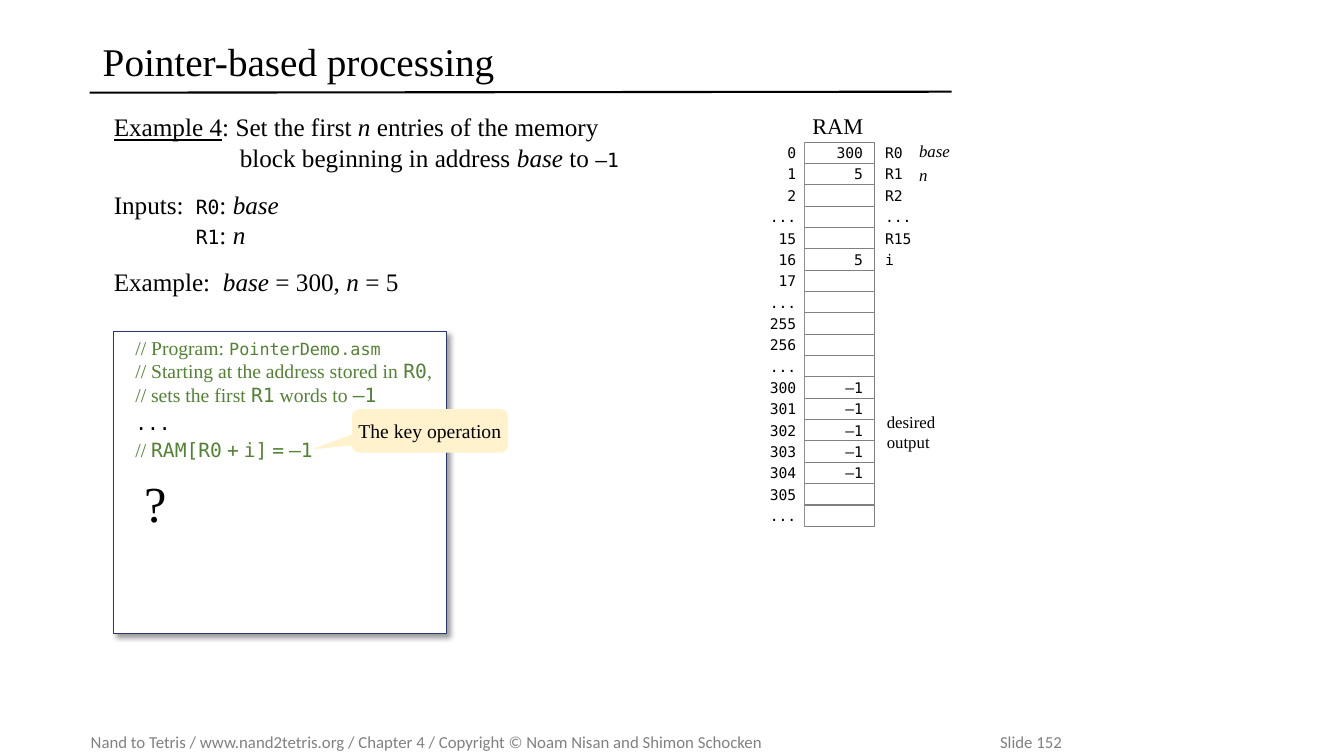
from dataclasses import dataclass
from typing import Any, Optional

import pptx
import pptx.dml.color
import pptx.enum.shapes
import pptx.enum.text
import pptx.oxml
import pptx.oxml.ns
import pptx.util
from lxml import etree

Pt = pptx.util.Pt
Shape = pptx.enum.shapes.MSO_SHAPE
Align = pptx.enum.text.PP_ALIGN
Anchor = pptx.enum.text.MSO_ANCHOR
qn = pptx.oxml.ns.qn

COLOURS = {
    "ink": "000000", "paper": "FFFFFF", "footer": "808080", "cell": "808080",
    "frame": "293973", "comment": "548235", "callout": "FFF2CC",
}
SERIF, MONO, SANS = "Times New Roman", "DejaVu Sans Mono", "Calibri"


@dataclass(frozen=True)
class Span:
    text: str
    size: float = 18
    font: str = SERIF
    colour: str = "ink"
    italic: bool = False
    underline: bool = False


@dataclass(frozen=True)
class Para:
    spans: tuple[Span, ...]
    before: float = 0
    align: Any = Align.LEFT
    tab: Optional[float] = None


@dataclass(frozen=True)
class Box:
    left: float
    top: float
    width: float
    height: float
    paras: tuple[Para, ...] = ()
    kind: Any = None
    fill: Optional[str] = None
    line: Optional[str] = None
    anchor: Any = Anchor.TOP
    insets: tuple[float, float, float, float] = (7.2, 3.6, 7.2, 3.6)


def rgb(name: str) -> pptx.dml.color.RGBColor:
    return pptx.dml.color.RGBColor.from_string(COLOURS[name])


def style_run(run: Any, span: Span) -> None:
    run.font.name = span.font
    run.font.size = Pt(span.size)
    run.font.color.rgb = rgb(span.colour)
    run.font.italic = span.italic
    run.font.underline = span.underline


def write_para(paragraph: Any, para: Para) -> None:
    paragraph.text = "".join(span.text for span in para.spans[:1])
    for span in para.spans[1:]:
        if span.text == "\v":
            paragraph.add_line_break()
        else:
            paragraph.add_run().text = span.text
    written = [span for span in para.spans if span.text != "\v"]
    for run, span in zip(paragraph.runs, written):
        style_run(run, span)
    paragraph.alignment = para.align
    paragraph.space_before = Pt(para.before)
    if para.tab is not None:
        stops = etree.SubElement(paragraph._p.get_or_add_pPr(), qn("a:tabLst"))
        etree.SubElement(stops, qn("a:tab"), pos=str(Pt(para.tab)), algn="l")


def draw_box(shapes: Any, box: Box) -> Any:
    place = [Pt(value) for value in (box.left, box.top, box.width, box.height)]
    if box.kind is None:
        shape = shapes.add_textbox(*place)
    else:
        shape = shapes.add_shape(box.kind, *place)
        shape.shadow.inherit = False
        shape.fill.solid()
        shape.fill.fore_color.rgb = rgb(box.fill)
        if box.line:
            shape.line.color.rgb = rgb(box.line)
            shape.line.width = Pt(0.75)
        else:
            shape.line.fill.background()
    frame = shape.text_frame
    frame.word_wrap = True
    frame.vertical_anchor = box.anchor
    (frame.margin_left, frame.margin_top,
     frame.margin_right, frame.margin_bottom) = map(Pt, box.insets)
    for index, para in enumerate(box.paras):
        write_para(frame.add_paragraph() if index else frame.paragraphs[0], para)
    return shape


def add_shadow(shape: Any) -> None:
    effects = shape._element.spPr.find(qn("a:effectLst"))
    shadow = etree.SubElement(effects, qn("a:outerShdw"), blurRad=str(Pt(4)),
                              dist=str(Pt(3)), dir="2700000", algn="tl", rotWithShape="0")
    colour = etree.SubElement(shadow, qn("a:srgbClr"), val=COLOURS["ink"])
    etree.SubElement(colour, qn("a:alpha"), val="40000")


def draw_title(page: Any) -> None:
    title = page.shapes.title
    title.left, title.top, title.width, title.height = map(Pt, (66.2, 23, 614.2, 45.4))
    title.text_frame.text = "Pointer-based processing"
    title.text_frame.auto_size = pptx.enum.text.MSO_AUTO_SIZE.NONE
    title.text_frame.vertical_anchor = Anchor.MIDDLE
    paragraph = title.text_frame.paragraphs[0]
    paragraph.alignment = Align.LEFT
    paragraph.line_spacing = 0.9
    style_run(paragraph.runs[0], Span("", 28))
    rule = page.shapes.add_connector(pptx.enum.shapes.MSO_CONNECTOR.STRAIGHT,
                                     Pt(64.1), Pt(66.2), Pt(679.7), Pt(65.5))
    rule.line.color.rgb = rgb("ink")
    rule.line.width = Pt(1.5)
    etree.SubElement(rule._element.spPr, qn("a:effectLst"))


def draw_memory(page: Any) -> None:
    addresses = "0 1 2 ... 15 16 17 ... 255 256 ... 300 301 302 303 304 305 ...".split()
    values = {0: "300", 1: "5", 5: "5", **{row: "–1" for row in range(11, 16)}}
    names = dict(enumerate(("R0", "R1", "R2", "...", "R15", "i")))
    top, pitch = 101.5, 15.25
    memory = page.shapes.add_group_shape().shapes

    def draw_cell(row: int, left: float, width: float, text: str, align: Any,
                  insets: tuple[float, float, float, float],
                  line: Optional[str] = None) -> None:
        paras = (Para((Span(text, 10.5, MONO),), align=align),) if text else ()
        draw_box(memory, Box(left, top + row * pitch, width, pitch, paras, Shape.RECTANGLE,
                             "paper", line, Anchor.MIDDLE, insets))

    for row, address in enumerate(addresses):
        draw_cell(row, 574.6, 50.4, values.get(row, ""), Align.RIGHT, (8.6, 0, 8.6, 0), "cell")
        draw_cell(row, 537.1, 37.4, address, Align.RIGHT, (8.6, 0, 5.8, 0))
        if row in names:
            draw_cell(row, 626.4, 37.4, names[row], Align.LEFT, (5.8, 0, 8.6, 0))
    draw_box(memory, Box(573.1, 76.3, 51.8, 30.2, (Para((Span("RAM", 16),)),)))


def green(text: str, font: str = SERIF, size: float = 14) -> Span:
    return Span(text, size, font, "comment")


def green_code(text: str) -> tuple[Span, ...]:
    first, *others = text.split()
    spans = [green(first, MONO)]
    for word in others:
        spans += [green(" "), green(word, MONO)]
    return tuple(spans)


def italic(text: str) -> Span:
    return Span(text, italic=True)


def code(text: str) -> Span:
    return Span(text, 14, MONO)


TASK = Box(74.2, 76.3, 398.9, 162, (
    Para((Span("Example 4", underline=True), Span(": Set the first "), italic("n"),
          Span(" entries of the memory"), Span("\v"),
          Span("\tblock beginning in address "), italic("base"), Span(" to "), code("–1")),
         tab=90),
    Para((Span("Inputs:\t"), code("R0"), Span(": "), italic("base"), Span("\v"),
          Span("\t"), code("R1"), Span(": "), italic("n")), 12, tab=58.6),
    Para((Span("Example:\t"), italic("base"), Span(" = 300, "), italic("n"), Span(" = 5")),
         12, tab=78),
))
PROGRAM = Box(80.9, 236.9, 238, 216, (
    Para((green("// Program: "), green("PointerDemo.asm", MONO, 12))),
    Para((green("// Starting at the address stored in "), green("R0", MONO), green(","))),
    Para((green("// sets the first "), green("R1", MONO), green(" words to "),
          green("–1", MONO))),
    Para((code("..."),), 3),
    Para((green("// "), *green_code("RAM[R0 + i] = –1")), 3),
), Shape.RECTANGLE, "paper", "frame", insets=(15.8, 2.9, 0, 0))
CALLOUT = Box(251.3, 292.3, 111.6, 31, (
    Para((Span("The key operation", 14),), align=Align.CENTER),
), Shape.ROUNDED_RECTANGULAR_CALLOUT, "callout", anchor=Anchor.MIDDLE, insets=(0, 3.6, 0, 3.6))
LABELS = (
    Box(626.4, 290.2, 55.4, 36, (Para((Span("desired output", 12),)),)),
    Box(95.8, 333.4, 39.6, 51.1, (Para((Span("?", 36),)),)),
    Box(649.4, 97.2, 55.4, 21.6, (Para((Span("base", 12, italic=True),)),)),
    Box(649.4, 113.8, 55.4, 21.6, (Para((Span("n", 12, italic=True),)),)),
    Box(64.8, 519.1, 882, 21.6, (Para((Span(
        "Nand to Tetris / www.nand2tetris.org / Chapter 4 / "
        "Copyright © Noam Nisan and Shimon Schocken\tSlide 152",
        12, SANS, "footer"),), tab=649.5),), anchor=Anchor.MIDDLE, insets=(0, 3.6, 0, 3.6)),
)


def main() -> None:
    deck = pptx.Presentation()
    deck.slide_width, deck.slide_height = Pt(960), Pt(540)
    page = deck.slides.add_slide(deck.slide_layouts[5])
    draw_title(page)
    draw_memory(page)
    add_shadow(draw_box(page.shapes, PROGRAM))
    callout = draw_box(page.shapes, CALLOUT)
    for index, value in enumerate((-0.76, 0.43, 0.17)):
        callout.adjustments[index] = value
    for box in (TASK, *LABELS):
        draw_box(page.shapes, box)
    deck.save("out.pptx")


if __name__ == "__main__":
    main()
